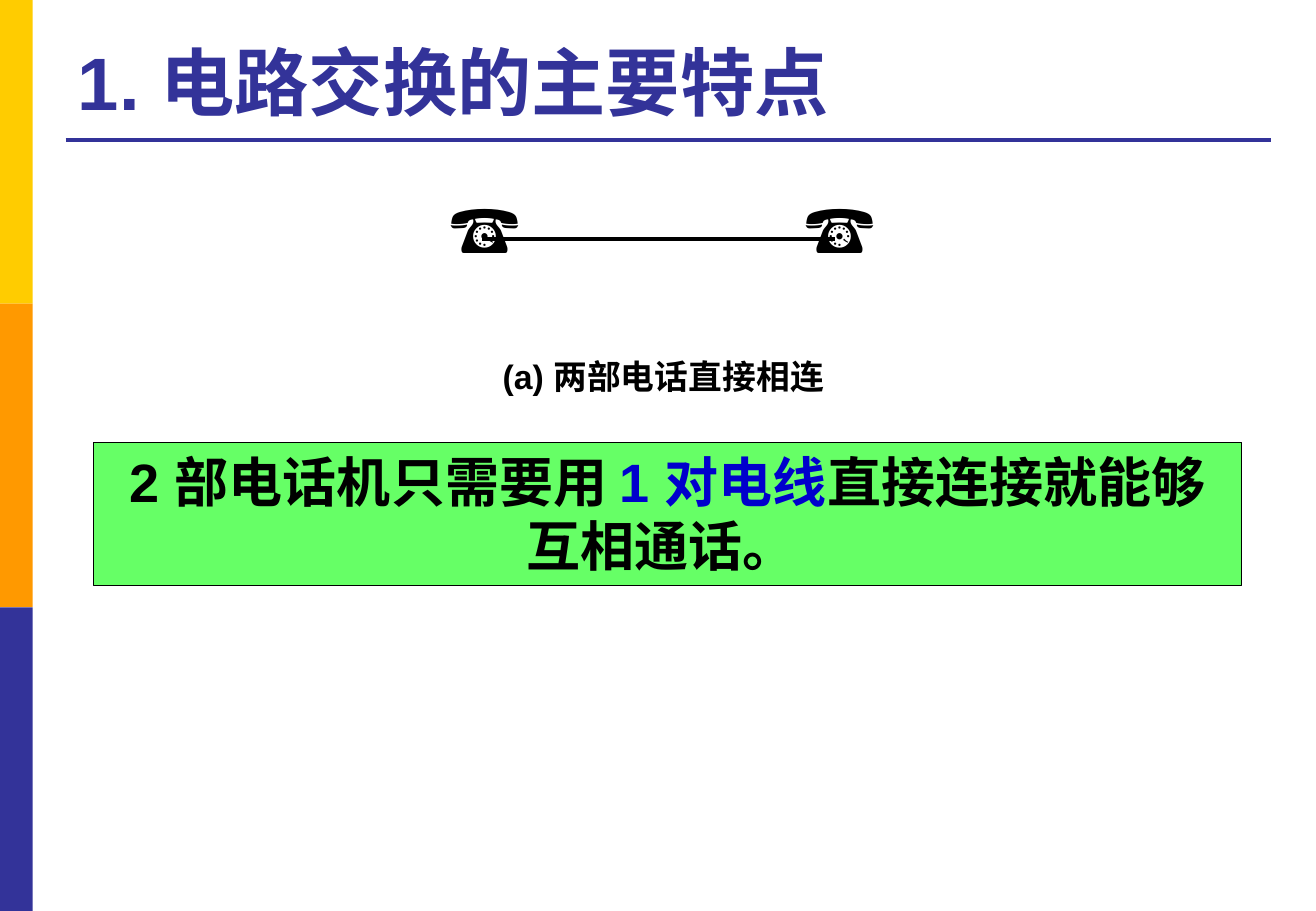
import pptx
import pptx.util
import pptx.dml.color
import pptx.enum.shapes
import pptx.enum.text
import pptx.oxml.ns
import lxml.etree

Inches = pptx.util.Inches
RGBColor = pptx.dml.color.RGBColor
Align = pptx.enum.text.PP_ALIGN
Anchor = pptx.enum.text.MSO_ANCHOR
RECTANGLE = pptx.enum.shapes.MSO_SHAPE.RECTANGLE

YELLOW = RGBColor(0xFF, 0xCC, 0x00)
ORANGE = RGBColor(0xFF, 0x99, 0x00)
INDIGO = RGBColor(0x33, 0x33, 0x99)
GREEN = RGBColor(0x66, 0xFF, 0x66)
BLUE = RGBColor(0x00, 0x00, 0xCC)
BLACK = RGBColor(0, 0, 0)

WIDTH, HEIGHT = 10.83, 7.5
BAND_WIDTH = 0.27
BANDS = [YELLOW, ORANGE, INDIGO]
HEADING = [("1. 电路交换的主要特点", INDIGO)]
PHONE = [("☎", BLACK)]
PHONE_LEFTS = [3.61, 6.53]
CAPTION = [(" (a) 两部电话直接相连", BLACK)]
CONCLUSION = [
    ("2 部电话机只需要用 ", BLACK),
    ("1 对电线", BLUE),
    ("直接连接就能够互相通话。 ", BLACK),
]
RULES = [(0.54, 10.46, 1.15, INDIGO), (3.97, 6.87, 1.97, BLACK)]


def write(shape, parts, size, align=Align.LEFT, anchor=Anchor.TOP,
          font="Arial", bold=True, wrap=True):
    """Fill a shape with one paragraph of coloured parts."""
    frame = shape.text_frame
    frame.word_wrap = wrap
    frame.auto_size = pptx.enum.text.MSO_AUTO_SIZE.NONE
    frame.vertical_anchor = anchor
    paragraph = frame.paragraphs[0]
    paragraph.alignment = align
    paragraph.font.name = font
    paragraph.font.size = pptx.util.Pt(size)
    paragraph.font.bold = bold
    for text, color in parts:
        run = paragraph.add_run()
        run.text = text
        run.font.color.rgb = color


def add_box(slide, left, top, width, height, fill):
    """Add a flat filled rectangle."""
    box = slide.shapes.add_shape(RECTANGLE, Inches(left), Inches(top),
                                 Inches(width), Inches(height))
    box.shadow.inherit = False
    box.fill.solid()
    box.fill.fore_color.rgb = fill
    return box


def add_rule(slide, start, end, y, color):
    """Add a flat horizontal line."""
    rule = slide.shapes.add_connector(
        pptx.enum.shapes.MSO_CONNECTOR.STRAIGHT,
        Inches(start), Inches(y), Inches(end), Inches(y))
    rule.line.color.rgb = color
    rule.line.width = pptx.util.Pt(2.25)
    lxml.etree.SubElement(rule._element.spPr, pptx.oxml.ns.qn("a:effectLst"))


def main():
    """Build the slide on circuit switching."""
    deck = pptx.Presentation()
    deck.slide_width, deck.slide_height = Inches(WIDTH), Inches(HEIGHT)
    slide = deck.slides.add_slide(deck.slide_layouts[5])

    band_height = HEIGHT / len(BANDS)
    for index, color in enumerate(BANDS):
        band = add_box(slide, 0, index * band_height, BAND_WIDTH, band_height, color)
        band.line.fill.background()

    heading = slide.shapes.title
    heading.left, heading.top = Inches(0.54), Inches(0.21)
    heading.width, heading.height = Inches(9.91), Inches(0.87)
    write(heading, HEADING, 44, anchor=Anchor.BOTTOM)

    for left in PHONE_LEFTS:
        phone = slide.shapes.add_textbox(Inches(left), Inches(1.48),
                                         Inches(0.95), Inches(0.77))
        write(phone, PHONE, 40, font="Times New Roman", bold=False, wrap=False)
    for rule in RULES:
        add_rule(slide, *rule)

    conclusion = add_box(slide, 0.77, 3.64, 9.45, 1.18, GREEN)
    conclusion.line.color.rgb = BLACK
    conclusion.line.width = pptx.util.Pt(0.75)
    write(conclusion, CONCLUSION, 32, align=Align.CENTER)

    caption = slide.shapes.add_textbox(Inches(3.68), Inches(2.88),
                                       Inches(3.48), Inches(0.44))
    write(caption, CAPTION, 20, align=Align.CENTER)

    deck.save("out.pptx")


if __name__ == "__main__":
    main()
